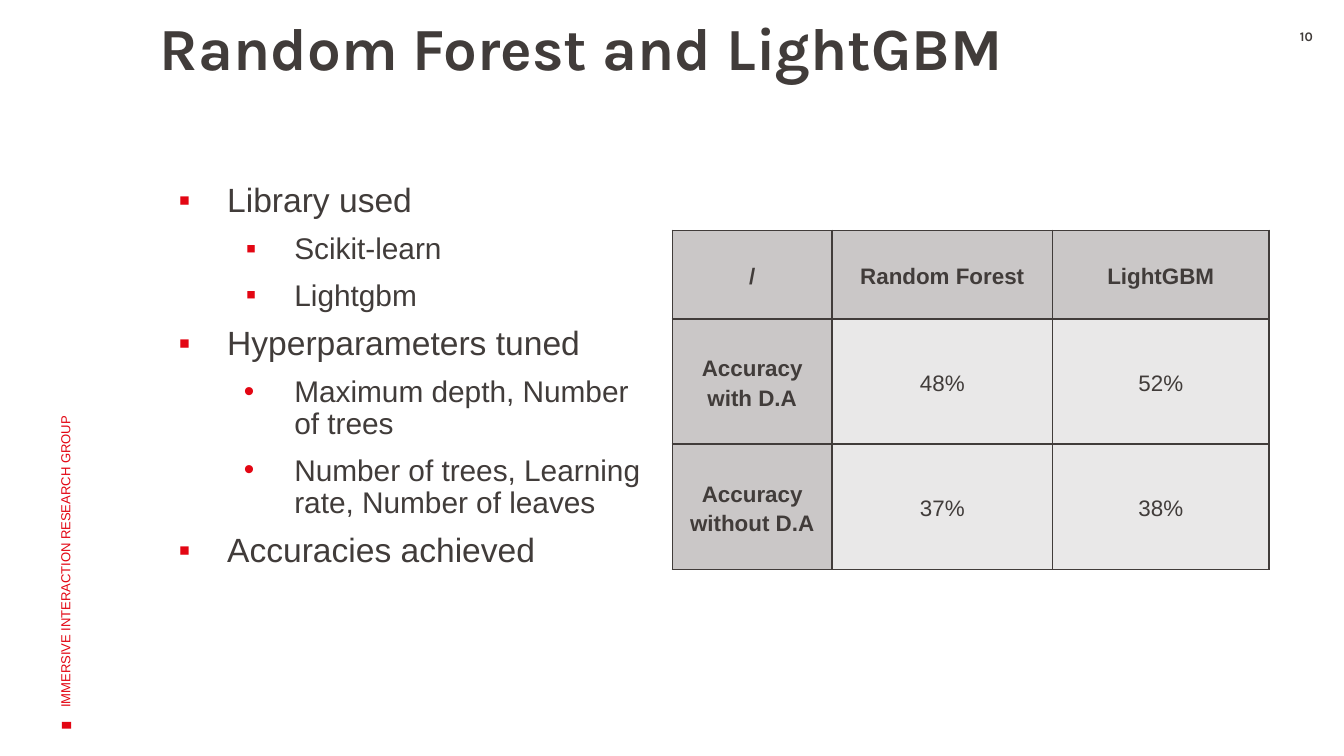
import lxml.etree
import pptx
import pptx.dml.color
import pptx.enum.shapes
import pptx.enum.text
import pptx.oxml.ns
import pptx.util

Pt = pptx.util.Pt
RGB = pptx.dml.color.RGBColor.from_string
qn = pptx.oxml.ns.qn
ALIGN = pptx.enum.text.PP_ALIGN
ANCHOR = pptx.enum.text.MSO_ANCHOR

THEME = {
    "ink": "413C3A", "red": "E30613", "header": "CAC7C7", "cell": "E9E8E8",
    "heading_font": "Karla", "body_font": "Arial",
    "title": 32, "level_0": 18, "level_1": 16, "table": 12, "small": 7,
}


def write(paragraph, text, size, font="body_font", color="ink", bold=False, **layout):
    """Fill a paragraph with one run; layout holds paragraph attributes."""
    run = paragraph.add_run()
    run.text = text
    run.font.color.rgb = RGB(THEME[color])
    formats = {"size": Pt(THEME[size]), "name": THEME[font], "bold": bold}
    for name, value in formats.items():
        setattr(run.font, name, value)
    for name, value in layout.items():
        setattr(paragraph, name, value)


def add_text_frame(box, margins, anchor=ANCHOR.TOP, rotation=0):
    """Add a wrapping text box; margins run left, top, right, bottom."""
    shape = slide.shapes.add_textbox(*map(Pt, box))
    shape.rotation = rotation
    frame = shape.text_frame
    frame.word_wrap = True
    frame.vertical_anchor = anchor
    for side, margin in zip(("left", "top", "right", "bottom"), margins):
        setattr(frame, f"margin_{side}", Pt(margin))
    return frame


presentation = pptx.Presentation()
presentation.slide_width, presentation.slide_height = Pt(720), Pt(405)
slide = presentation.slides.add_slide(presentation.slide_layouts[6])

# Side label with its marker
marker = slide.shapes.add_shape(
    pptx.enum.shapes.MSO_SHAPE.RECTANGLE, Pt(33.9), Pt(386), Pt(3.6), Pt(5))
marker.rotation = 270
marker.shadow.inherit = False
marker.fill.solid()
marker.fill.fore_color.rgb = RGB(THEME["red"])
marker.line.fill.background()
group_label = add_text_frame(
    (-96.5, 218.9, 262.8, 72), (7.2, 3.6, 7.2, 3.6), ANCHOR.MIDDLE, 270)
write(group_label.paragraphs[0], "IMMERSIVE INTERACTION RESEARCH GROUP", "small", color="red")

# Title and page number
title = add_text_frame((71.3, 10, 511, 84), (14.4, 0, 5.8, 3.6))
write(title.paragraphs[0], "Random Forest and LightGBM", "title", "heading_font",
      bold=True, line_spacing=0.9)
page_number = add_text_frame((679.7, 15.1, 40.3, 13), (7.2, 0, 7.2, 0))
write(page_number.paragraphs[0], "10", "small", "heading_font", bold=True,
      alignment=ALIGN.CENTER)

# Bullet list
bullets = [
    (0, "▪", "Library used"),
    (1, "▪", "Scikit-learn"),
    (1, "▪", "Lightgbm"),
    (0, "▪", "Hyperparameters tuned"),
    (1, "•", "Maximum depth, Number of trees"),
    (1, "•", "Number of trees, Learning rate, Number of leaves"),
    (0, "▪", "Accuracies achieved"),
]
hanging = {"▪": 26, "•": 27}
body = add_text_frame((71.3, 95, 288.7, 266.4), (14.4, 3.6, 7.2, 3.6))
for index, (level, mark, text) in enumerate(bullets):
    paragraph = body.add_paragraph() if index else body.paragraphs[0]
    properties = paragraph._p.get_or_add_pPr()
    properties.set("marL", str(Pt(36 * (level + 1))))
    properties.set("indent", str(-Pt(hanging[mark])))
    color = lxml.etree.SubElement(properties, qn("a:buClr"))
    lxml.etree.SubElement(color, qn("a:srgbClr"), val=THEME["red"])
    lxml.etree.SubElement(properties, qn("a:buFont"), typeface=THEME["body_font"])
    lxml.etree.SubElement(properties, qn("a:buChar"), char=mark)
    write(paragraph, text, f"level_{level}", level=level, line_spacing=0.9,
          space_before=Pt(7.5 if index else 0))

# Accuracy table
accuracies = [
    ("/", "Random Forest", "LightGBM"),
    ("Accuracy with D.A", "48%", "52%"),
    ("Accuracy without D.A", "37%", "38%"),
]
column_widths = (85.6, 118.1, 116)
row_heights = (47.4, 67.2, 67.2)
table = slide.shapes.add_table(
    3, 3, Pt(360.2), Pt(123.4), Pt(sum(column_widths)), Pt(sum(row_heights))).table
table.first_row = table.horz_banding = False
for column, width in zip(table.columns, column_widths):
    column.width = Pt(width)
for row, height in zip(table.rows, row_heights):
    row.height = Pt(height)
for row_index, values in enumerate(accuracies):
    for column_index, value in enumerate(values):
        cell = table.cell(row_index, column_index)
        is_header = row_index == 0 or column_index == 0
        formats = {
            "margin_left": Pt(5), "margin_right": Pt(5),
            "margin_top": Pt(7.2), "margin_bottom": Pt(7.2),
            "vertical_anchor": ANCHOR.MIDDLE,
        }
        for name, setting in formats.items():
            setattr(cell, name, setting)
        cell_properties = cell._tc.get_or_add_tcPr()
        for side in ("lnL", "lnR", "lnT", "lnB"):
            border = lxml.etree.SubElement(cell_properties, qn(f"a:{side}"), w=str(Pt(1)))
            fill = lxml.etree.SubElement(border, qn("a:solidFill"))
            lxml.etree.SubElement(fill, qn("a:srgbClr"), val=THEME["ink"])
        cell.fill.solid()
        cell.fill.fore_color.rgb = RGB(THEME["header" if is_header else "cell"])
        write(cell.text_frame.paragraphs[0], value, "table", bold=is_header,
              alignment=ALIGN.CENTER, line_spacing=1.17)

presentation.save("out.pptx")
